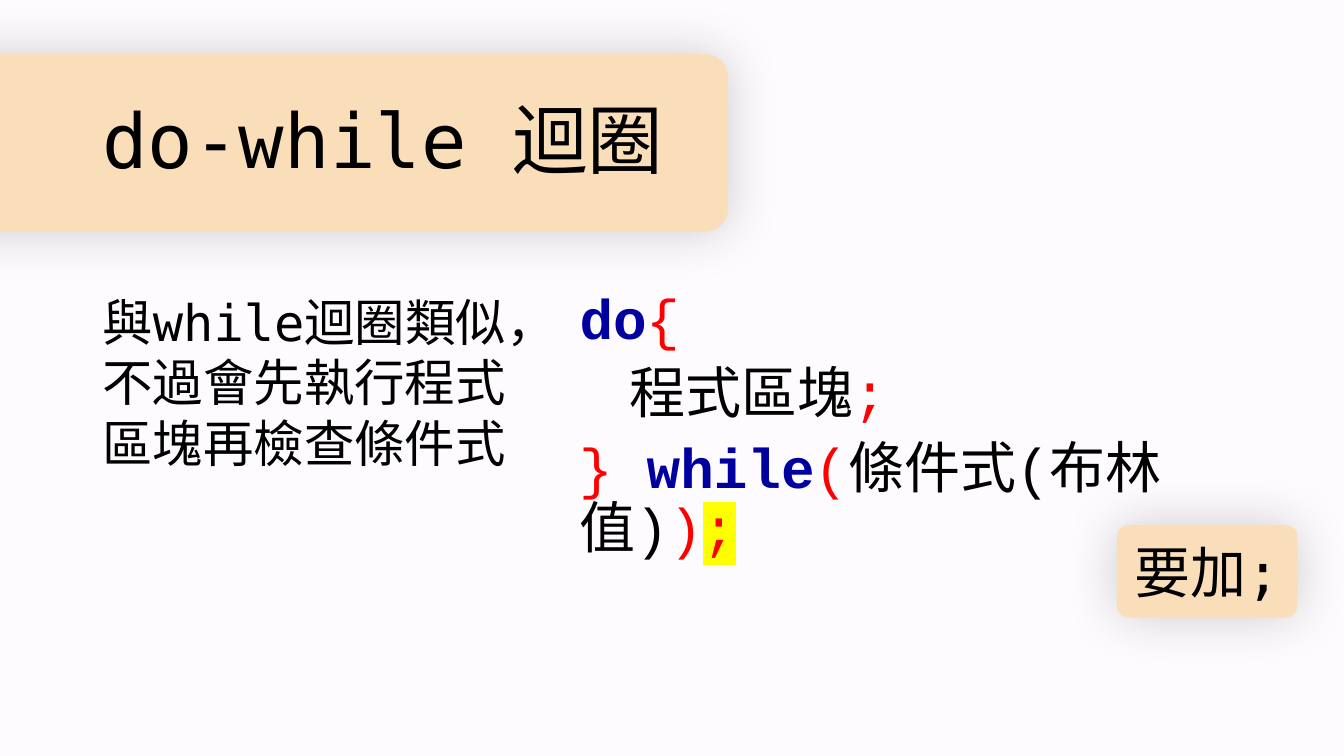
from lxml.etree import SubElement
from pptx import Presentation
from pptx.dml.color import RGBColor
from pptx.enum.shapes import MSO_SHAPE
from pptx.enum.text import MSO_ANCHOR, MSO_AUTO_SIZE, PP_ALIGN
from pptx.oxml.ns import qn
from pptx.util import Pt

BLACK = RGBColor(0x00, 0x00, 0x00)
RED = RGBColor(0xFF, 0x00, 0x00)
NAVY = RGBColor(0x00, 0x00, 0xA0)
YELLOW = RGBColor(0xFF, 0xFF, 0x00)
PEACH = RGBColor(0xF9, 0xDE, 0xB9)
PAPER = RGBColor(0xFE, 0xFB, 0xFF)


class SlideBuilder:
    text_font = "DejaVu Sans Mono"
    code_font = "Courier New"
    code_size = 40

    def __init__(self, page):
        self.page = page
        page.background.fill.solid()
        page.background.fill.fore_color.rgb = PAPER

    def style(self, para, size, font, color=None):
        para.font.size = Pt(size)
        para.font.name = font
        if color is not None:
            para.font.color.rgb = color

    def place(self, box, left, top, width, height):
        box.left, box.top = Pt(left), Pt(top)
        box.width, box.height = Pt(width), Pt(height)
        box.text_frame.auto_size = MSO_AUTO_SIZE.NONE
        box.text_frame.word_wrap = True

    def card(self, left, top, width, height):
        shape = self.page.shapes.add_shape(
            MSO_SHAPE.ROUNDED_RECTANGLE, Pt(left), Pt(top), Pt(width), Pt(height))
        shape.adjustments[0] = 0.13
        shape.fill.solid()
        shape.fill.fore_color.rgb = PEACH
        shape.line.fill.background()
        shape.shadow.inherit = False
        effects = shape._element.spPr.find(qn("a:effectLst"))
        shadow = SubElement(effects, qn("a:outerShdw"), blurRad=str(Pt(38)),
                            dist="0", dir="0", algn="ctr", rotWithShape="0")
        color = SubElement(shadow, qn("a:srgbClr"), val=str(BLACK))
        SubElement(color, qn("a:alpha"), val="19000")
        return shape

    def label(self, shape, text, size):
        frame = shape.text_frame
        frame.word_wrap = True
        frame.vertical_anchor = MSO_ANCHOR.MIDDLE
        para = frame.paragraphs[0]
        para.text = text
        para.alignment = PP_ALIGN.CENTER
        self.style(para, size, self.text_font, BLACK)

    def title(self, text, size, *bounds):
        box = self.page.shapes.title
        self.place(box, *bounds)
        box.text_frame.vertical_anchor = MSO_ANCHOR.MIDDLE
        para = box.text_frame.paragraphs[0]
        para.text = text
        para.alignment = PP_ALIGN.LEFT
        para.line_spacing = 0.9
        self.style(para, size, self.text_font, BLACK)

    def plain(self, para):
        properties = para._p.get_or_add_pPr()
        properties.set("marL", "0")
        properties.set("indent", "0")
        SubElement(properties, qn("a:buNone"))
        return properties

    def body(self, box, text, size, *bounds):
        self.place(box, *bounds)
        para = box.text_frame.paragraphs[0]
        para.text = text
        self.plain(para)
        para.space_before = Pt(0)
        self.style(para, size, self.text_font, BLACK)

    def code(self, box, lines, *bounds):
        self.place(box, *bounds)
        frame = box.text_frame
        for index, line in enumerate(lines):
            para = frame.add_paragraph() if index else frame.paragraphs[0]
            stops = SubElement(self.plain(para), qn("a:tabLst"))
            SubElement(stops, qn("a:tab"), pos=str(Pt(72)), algn="l")
            para.line_spacing = 0.9
            para.space_before = Pt(10 if index else 0)
            self.style(para, self.code_size, self.code_font)
            for text, color, *marker in line:
                span = para.add_run()
                span.text = text
                span.font.bold = color == NAVY
                span.font.color.rgb = color
                if marker:
                    highlight = SubElement(span.font._element, qn("a:highlight"))
                    SubElement(highlight, qn("a:srgbClr"), val=str(marker[0]))


def main():
    deck = Presentation()
    deck.slide_width, deck.slide_height = Pt(960), Pt(540)
    page = deck.slides.add_slide(deck.slide_layouts.get_by_name("Two Content"))
    builder = SlideBuilder(page)

    title_card = builder.card(-113, 38.6, 633, 127)
    page.shapes._spTree.insert(2, title_card._element)
    builder.title("do-while 迴圈", 54, 66, 51, 828, 104.4)

    explanation, syntax = page.placeholders[1], page.placeholders[2]
    builder.body(explanation, "與while迴圈類似，不過會先執行程式區塊再檢查條件式",
                 36, 66, 204, 320.4, 342.7)
    builder.code(syntax, [
        [("do", NAVY), ("{", RED)],
        [("\t", RED), ("程式區塊", BLACK), (";", RED)],
        [("} ", RED), ("while", NAVY), ("(", RED), ("條件式(布林值)", BLACK),
         (")", RED), (";", RED, YELLOW)],
    ], 406.8, 204, 535.7, 342.7)

    reminder = builder.card(797.8, 375, 128.9, 66.2)
    builder.label(reminder, "要加;", 40)
    deck.save("out.pptx")


if __name__ == "__main__":
    main()
